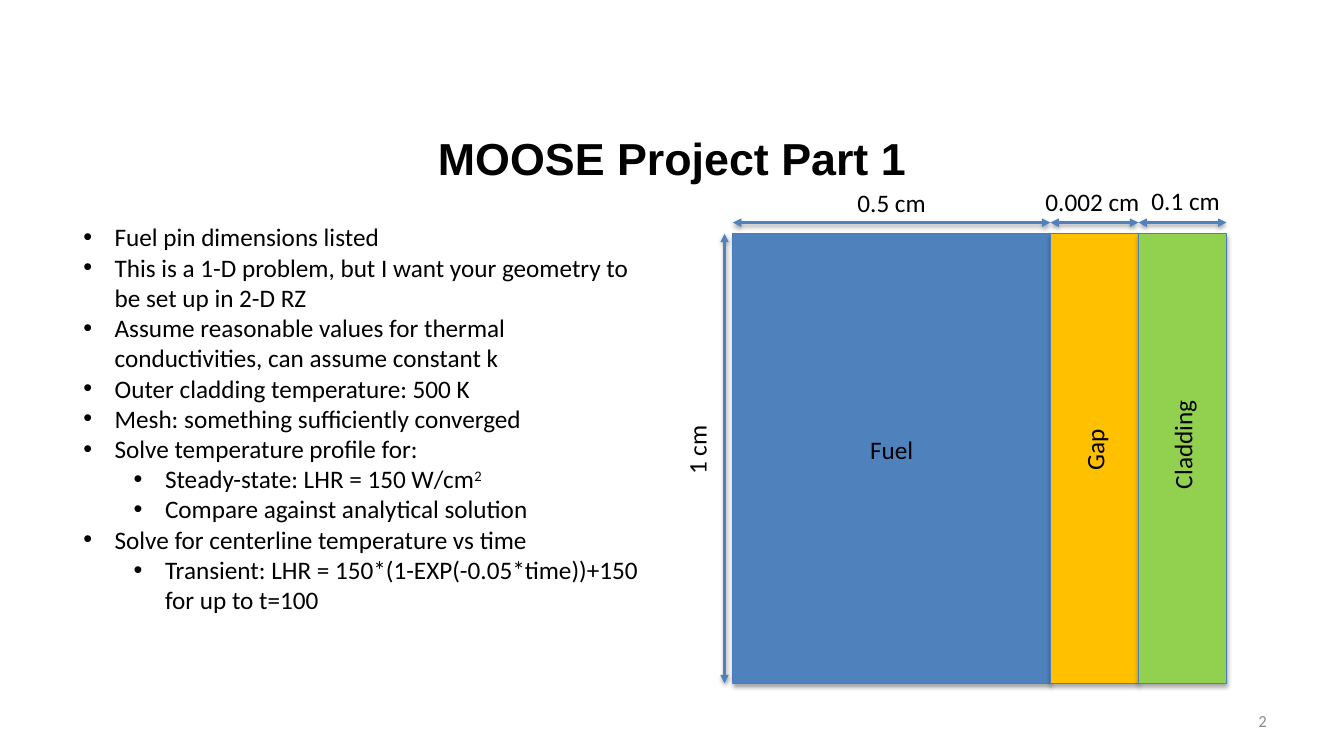
import pptx
import pptx.util
import pptx.dml.color
import pptx.enum.shapes
import pptx.enum.text
import pptx.oxml
import pptx.oxml.ns

Cm = pptx.util.Cm
Pt = pptx.util.Pt
ALIGN = pptx.enum.text.PP_ALIGN
ANCHOR = pptx.enum.text.MSO_ANCHOR
SHAPE = pptx.enum.shapes.MSO_SHAPE
NS = pptx.oxml.ns.nsdecls("a")

BODY = {"name": "Calibri", "size": Pt(18), "color": "000000"}
TITLE = {"name": "Arial", "size": Pt(32), "bold": True, "color": "000000"}
NUMBER = {"name": "Calibri", "size": Pt(12), "color": "8C8C8C"}

BULLETS = [
    (0, "Fuel pin dimensions listed", ""),
    (0, "This is a 1-D problem, but I want your geometry to be set up in 2-D RZ", ""),
    (0, "Assume reasonable values for thermal conductivities, can assume constant k", ""),
    (0, "Outer cladding temperature: 500 K", ""),
    (0, "Mesh: something sufficiently converged", ""),
    (0, "Solve temperature profile for:", ""),
    (1, "Steady-state: LHR = 150 W/cm", "2"),
    (1, "Compare against analytical solution", ""),
    (0, "Solve for centerline temperature vs time", ""),
    (1, "Transient: LHR = 150*(1-EXP(-0.05*time))+150 for up to t=100", ""),
]

LAYERS = [
    ("Fuel", 8, "4F81BD", 0, -0.22, "0.5 cm", 0, -0.78),
    ("Gap", 2.22, "FFC000", 270, -0.22, "0.002 cm", -0.05, -0.81),
    ("Cladding", 2.22, "92D050", 270, -0.35, "0.1 cm", 0.08, -0.83),
]


def rgb(value):
    return pptx.dml.color.RGBColor.from_string(value)


def add_run(p, text, style):
    r = p.add_run()
    r.text = text
    for key, value in style.items():
        if key == "color":
            r.font.color.rgb = rgb(value)
        else:
            setattr(r.font, key, value)
    return r


def add_text(s, box, text, style, align=ALIGN.CENTER, rotation=0):
    sp = s.shapes.add_textbox(*map(Cm, box))
    sp.rotation = rotation
    tf = sp.text_frame
    tf.word_wrap = True
    p = tf.paragraphs[0]
    p.alignment = align
    add_run(p, text, style)
    return sp


def add_label(s, x, y, text, rotation=0):
    w, h = 4.55, 1.02
    add_text(s, (x - w / 2, y - h / 2, w, h), text, BODY, rotation=rotation)


def add_shadow(sp, distance, opacity):
    sp._element.spPr.append(pptx.oxml.parse_xml(
        f'<a:effectLst {NS}><a:outerShdw blurRad="{Pt(3.1)}" dist="{Pt(distance)}" '
        f'dir="5400000" rotWithShape="0"><a:srgbClr val="000000">'
        f'<a:alpha val="{opacity * 1000}"/></a:srgbClr></a:outerShdw></a:effectLst>'))


def add_dimension(s, x1, y1, x2, y2):
    line = s.shapes.add_connector(
        pptx.enum.shapes.MSO_CONNECTOR.STRAIGHT, *map(Cm, (x1, y1, x2, y2)))
    line.line.color.rgb = rgb("4F81BD")
    line.line.width = Pt(2)
    for end in ("headEnd", "tailEnd"):
        line.line._get_or_add_ln().append(
            pptx.oxml.parse_xml(f'<a:{end} {NS} type="triangle"/>'))
    add_shadow(line, 1.6, 38)


def add_title(s, box):
    sp = s.shapes.title
    for key, value in zip(("left", "top", "width", "height"), box):
        setattr(sp, key, Cm(value))
    tf = sp.text_frame
    tf.vertical_anchor = ANCHOR.MIDDLE
    p = tf.paragraphs[0]
    p.alignment = ALIGN.CENTER
    add_run(p, "MOOSE Project Part 1", TITLE)


def add_bullets(s, box):
    tf = s.shapes.add_textbox(*map(Cm, box)).text_frame
    tf.word_wrap = True
    for i, (level, text, power) in enumerate(BULLETS):
        p = tf.add_paragraph() if i else tf.paragraphs[0]
        p.level = level
        pPr = p._p.get_or_add_pPr()
        pPr.set("marL", str(Cm(0.79 + 1.27 * level)))
        pPr.set("indent", str(Cm(-0.79)))
        pPr.append(pptx.oxml.parse_xml(f'<a:buFont {NS} typeface="Arial"/>'))
        pPr.append(pptx.oxml.parse_xml(f'<a:buChar {NS} char="•"/>'))
        add_run(p, text, BODY)
        if power:
            r = add_run(p, power, BODY)
            r._r.get_or_add_rPr().set("baseline", "30000")


def add_layer(s, box, fill):
    sp = s.shapes.add_shape(SHAPE.RECTANGLE, *map(Cm, box))
    sp.fill.solid()
    sp.fill.fore_color.rgb = rgb(fill)
    sp.line.color.rgb = rgb("4B7EBC")
    sp.line.width = Pt(0.75)
    add_shadow(sp, 1.8, 35)


def add_fuel_pin(s, box):
    left, top, width, height = box
    middle = top + height / 2
    scale = width / sum(layer[1] for layer in LAYERS)
    x = left
    for name, share, fill, rotation, name_dy, size, size_dx, size_dy in LAYERS:
        w = share * scale
        centre = x + w / 2
        add_layer(s, (x, top, w, height), fill)
        add_dimension(s, x, top - 0.28, x + w, top - 0.28)
        add_label(s, centre, middle + name_dy, name, rotation)
        add_label(s, centre + size_dx, top + size_dy, size)
        x += w
    add_dimension(s, left - 0.21, top + height, left - 0.21, top)
    add_label(s, left - 0.91, middle - 0.22, "1 cm", 270)


def add_number(s, box):
    sp = add_text(s, box, "2", NUMBER, ALIGN.RIGHT)
    sp.text_frame.vertical_anchor = ANCHOR.MIDDLE


def main():
    prs = pptx.Presentation()
    prs.slide_width = Cm(33.87)
    prs.slide_height = Cm(19.05)
    s = prs.slides.add_slide(prs.slide_layouts[5])
    add_title(s, (1.7, 2.49, 30.48, 2.97))
    add_number(s, (24.28, 17.65, 7.9, 1.02))
    add_fuel_pin(s, (18.47, 5.89, 12.44, 11.33))
    add_bullets(s, (1.85, 5.46, 14.6, 10.26))
    prs.save("out.pptx")


if __name__ == "__main__":
    main()
